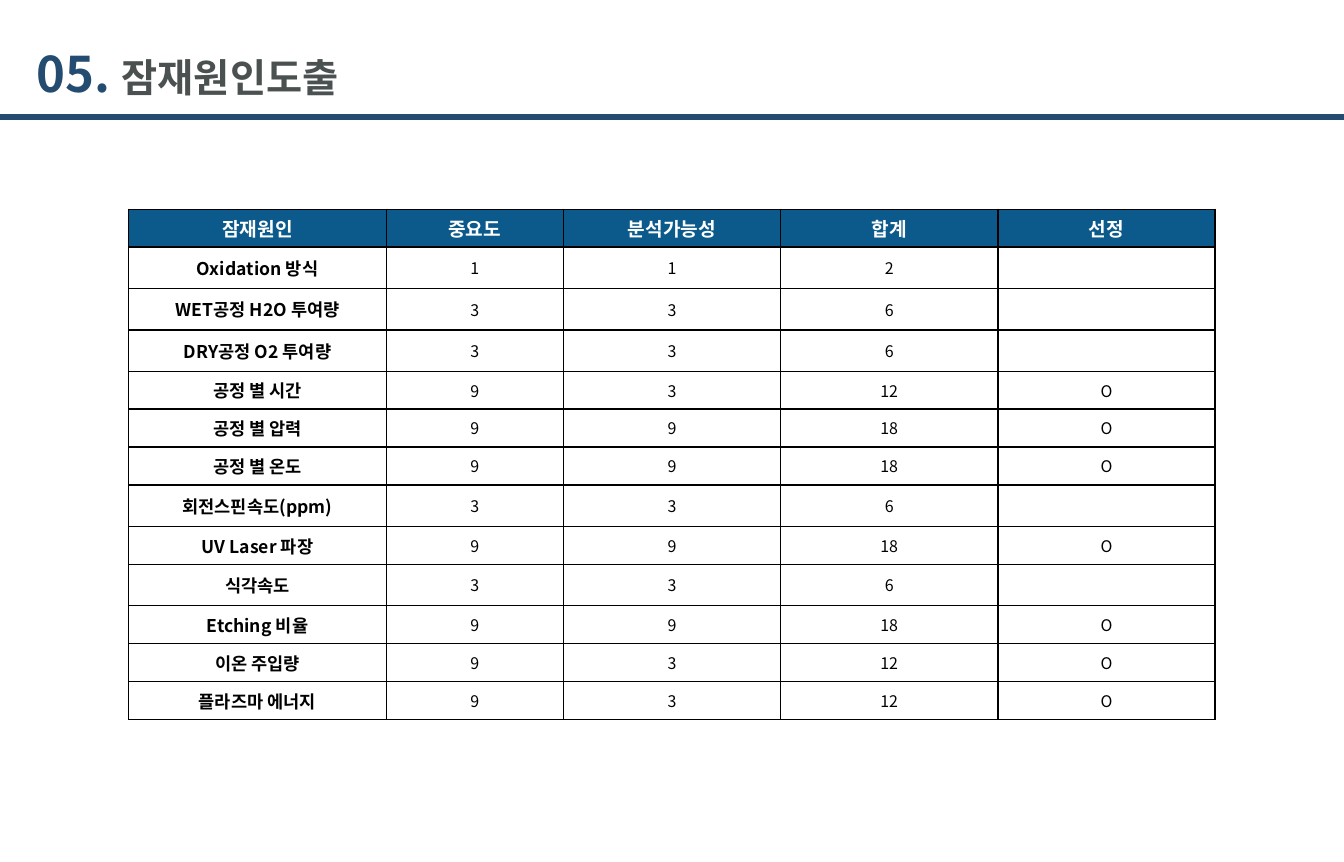
from pptx import Presentation
from pptx.dml.color import RGBColor
from pptx.enum.shapes import MSO_CONNECTOR as Connector
from pptx.enum.text import MSO_ANCHOR as Anchor, MSO_AUTO_SIZE as AutoSize, PP_ALIGN as Align
from pptx.oxml import parse_xml
from pptx.oxml.ns import nsdecls, qn
from pptx.util import Inches, Pt

FONT = "Noto Sans CJK KR"
COLORS = {
    "navy": "244C70",
    "gray": "4B5151",
    "header": "0B5A8B",
    "white": "FFFFFF",
    "black": "000000",
}
HEADERS = ["잠재원인", "중요도", "분석가능성", "합계", "선정"]
CAUSES = [
    ("Oxidation 방식", 1, 1),
    ("WET공정 H2O 투여량", 3, 3),
    ("DRY공정 O2 투여량", 3, 3),
    ("공정 별 시간", 9, 3),
    ("공정 별 압력", 9, 9),
    ("공정 별 온도", 9, 9),
    ("회전스핀속도(ppm)", 3, 3),
    ("UV Laser 파장", 9, 9),
    ("식각속도", 3, 3),
    ("Etching 비율", 9, 9),
    ("이온 주입량", 9, 3),
    ("플라즈마 에너지", 9, 3),
]
SELECTION_MINIMUM = 12
COLUMN_WIDTHS = [2.24, 1.54, 1.89, 1.89, 1.89]
ROW_HEIGHT = 0.33


def add_span(para, text, size, color, bold):
    span = para.add_run()
    span.text = text
    span.font.size = Pt(size)
    span.font.bold = bold
    span.font.name = FONT
    span.font.color.rgb = RGBColor.from_string(COLORS[color])
    span.font._element.find(qn("a:latin")).addnext(
        parse_xml(f'<a:ea {nsdecls("a")} typeface="{FONT}"/>'))


def add_borders(cell):
    properties = cell._tc.get_or_add_tcPr()
    for position, side in enumerate(["lnL", "lnR", "lnT", "lnB"]):
        properties.insert(position, parse_xml(
            f'<a:{side} {nsdecls("a")} w="{Pt(1)}"><a:solidFill>'
            f'<a:srgbClr val="{COLORS["black"]}"/></a:solidFill></a:{side}>'))


deck = Presentation()
deck.slide_width = Inches(11.69)
deck.slide_height = Inches(7.5)
page = deck.slides.add_slide(deck.slide_layouts[6])

rows = [HEADERS]
for cause, importance, feasibility in CAUSES:
    total = importance + feasibility
    selected = "O" if total >= SELECTION_MINIMUM else ""
    rows.append([cause, importance, feasibility, total, selected])

table = page.shapes.add_table(
    len(rows), len(HEADERS), Inches(1.12), Inches(1.82),
    Inches(sum(COLUMN_WIDTHS)), Inches(ROW_HEIGHT * len(rows))).table
table.horz_banding = False
for column, width in zip(table.columns, COLUMN_WIDTHS):
    column.width = Inches(width)

for row_index, values in enumerate(rows):
    table.rows[row_index].height = Inches(ROW_HEIGHT)
    for column_index, value in enumerate(values):
        cell = table.cell(row_index, column_index)
        cell.vertical_anchor = Anchor.MIDDLE
        cell.margin_left = cell.margin_right = Inches(0.09)
        cell.margin_top = cell.margin_bottom = Inches(0.04)
        para = cell.text_frame.paragraphs[0]
        para.alignment = Align.CENTER
        if row_index == 0:
            cell.fill.solid()
            cell.fill.fore_color.rgb = RGBColor.from_string(COLORS["header"])
            add_span(para, value, 12, "white", True)
        else:
            cell.fill.background()
            is_cause = column_index == 0
            add_span(para, str(value), 11 if is_cause else 10, "black", is_cause)
        add_borders(cell)

rule = page.shapes.add_connector(
    Connector.STRAIGHT, Inches(0), Inches(1.02), Inches(11.69), Inches(1.02))
rule.line.color.rgb = RGBColor.from_string(COLORS["navy"])
rule.line.width = Pt(4)
rule._element.spPr.append(parse_xml(f'<a:effectLst {nsdecls("a")}/>'))

title = page.shapes.add_textbox(Inches(0.22), Inches(0.33), Inches(5.88), Inches(0.62))
title.text_frame.word_wrap = True
title.text_frame.auto_size = AutoSize.SHAPE_TO_FIT_TEXT
heading = title.text_frame.paragraphs[0]
add_span(heading, "05. ", 30.7, "navy", True)
add_span(heading, "잠재원인도출", 24.6, "gray", True)

deck.save("out.pptx")
